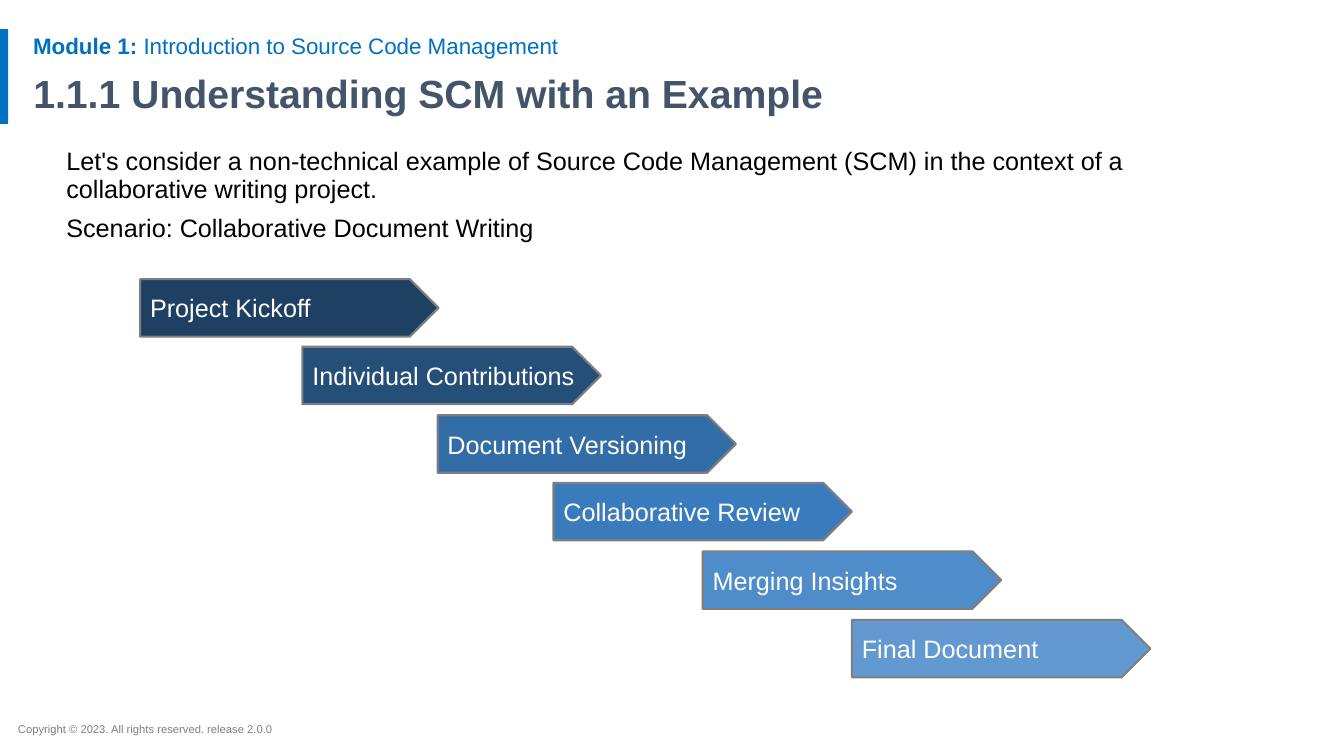
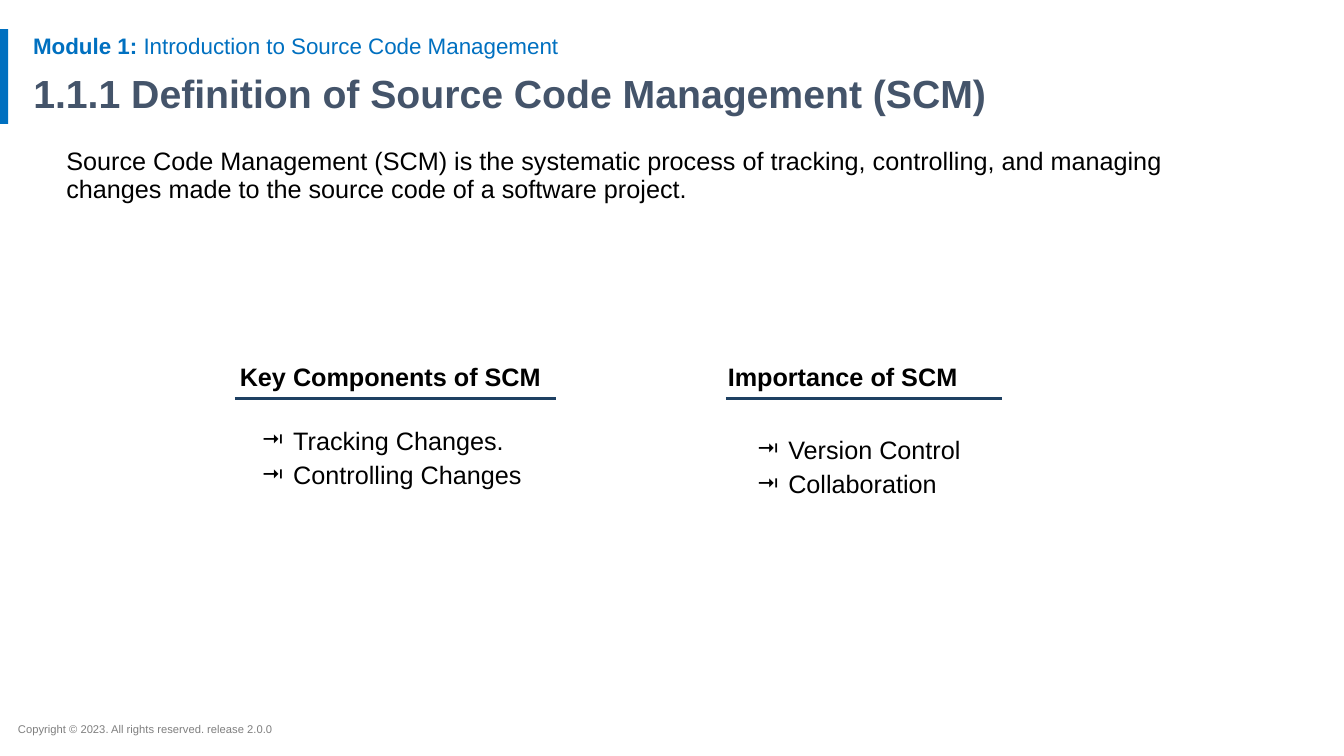
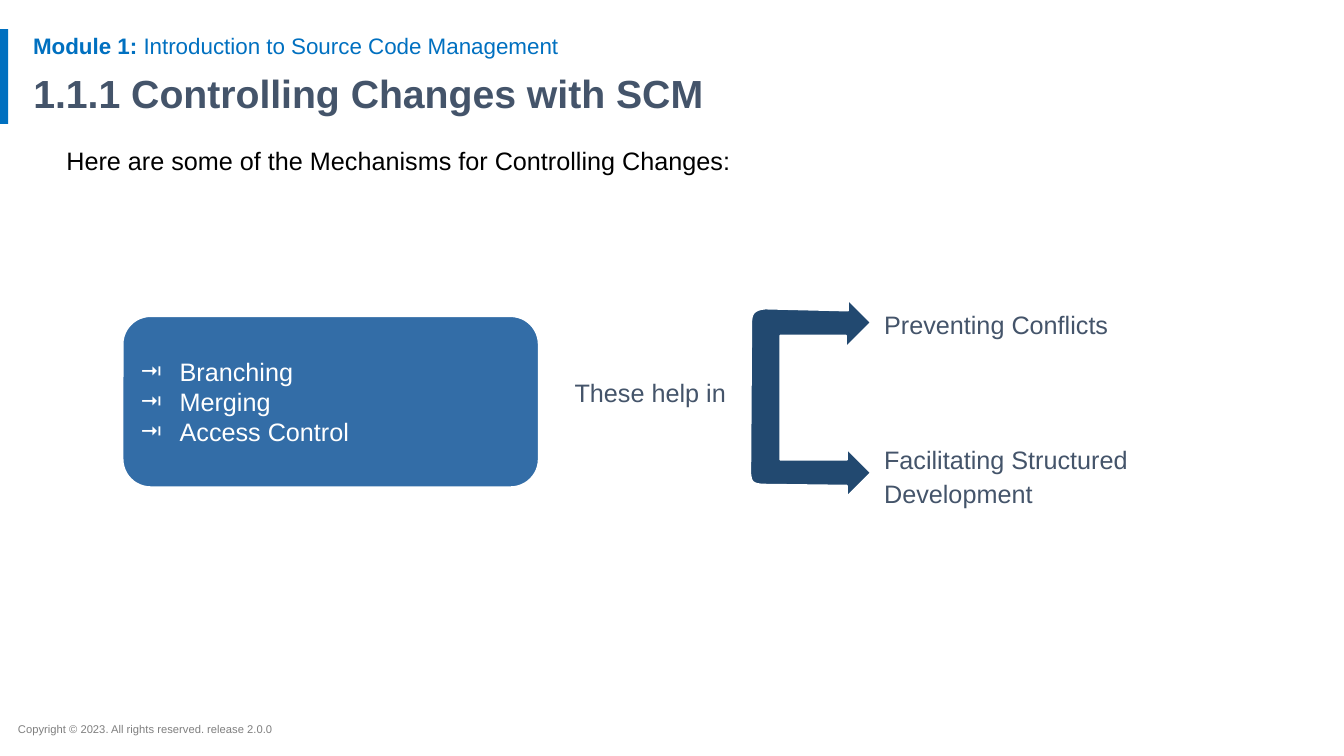
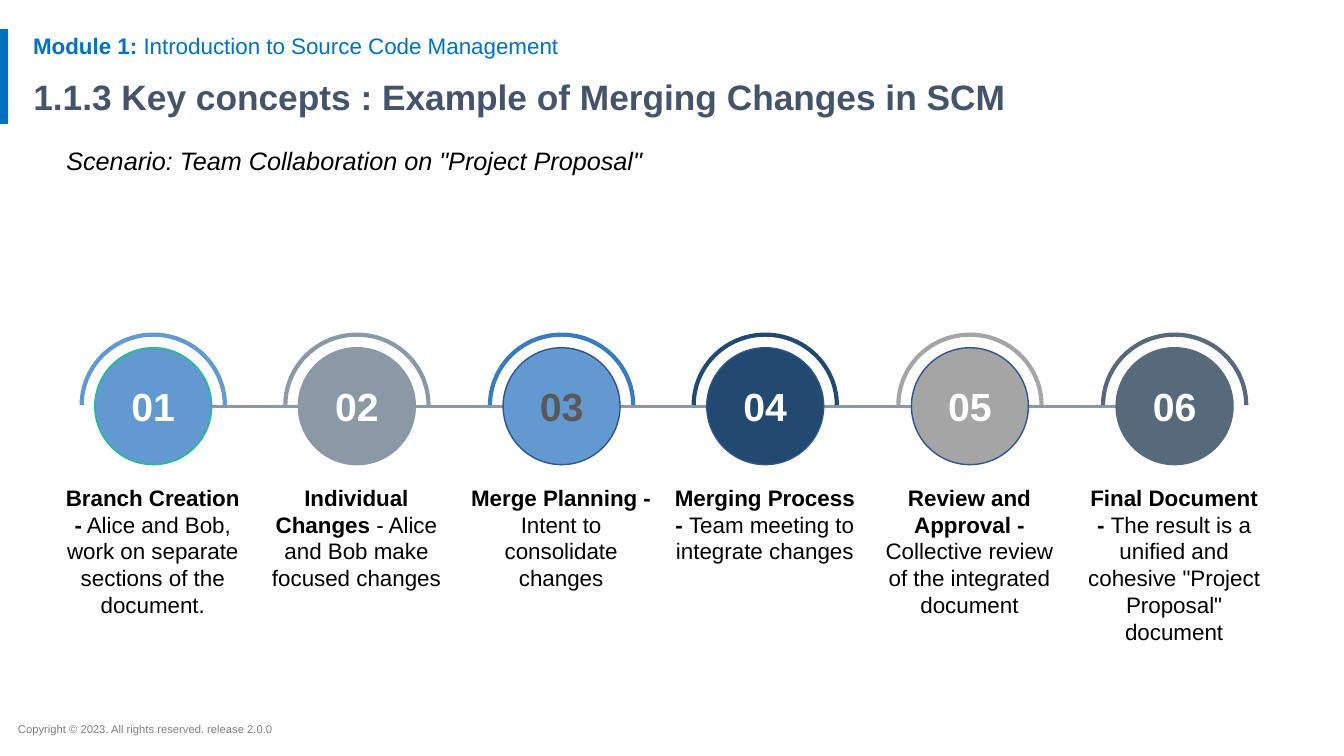
from dataclasses import dataclass
from typing import NamedTuple

from lxml import etree
from pptx import Presentation
from pptx.dml.color import RGBColor
from pptx.enum.shapes import MSO_CONNECTOR, MSO_SHAPE
from pptx.enum.text import MSO_ANCHOR, MSO_AUTO_SIZE, PP_ALIGN
from pptx.oxml.ns import qn
from pptx.util import Emu, Pt

LEFT, CENTER = PP_ALIGN.LEFT, PP_ALIGN.CENTER
TOP, MIDDLE = MSO_ANCHOR.TOP, MSO_ANCHOR.MIDDLE
RECT, ROUND = MSO_SHAPE.RECTANGLE, MSO_SHAPE.ROUNDED_RECTANGLE
PLATE, OVAL, ARC = MSO_SHAPE.PENTAGON, MSO_SHAPE.OVAL, MSO_SHAPE.ARC
STRAIGHT = MSO_CONNECTOR.STRAIGHT
FIXED = MSO_AUTO_SIZE.NONE

SCALE = 9144  # EMU per px, 100 px to the inch
FONT = "Arial"
BULLET = "⭲"
COLORS = {
    "black": "000000", "white": "FFFFFF", "accent": "0070C0", "slate": "44546A",
    "gray": "7F7F7F", "dark": "595959", "silver": "A5A5A5", "green": "1CC083",
    "navy": "1E4062", "deep": "224970", "ocean": "254F79", "steel": "336DA7",
    "blue": "397BBD", "sky": "4E8CCA", "pale": "6299D0", "edge": "31538F",
    "mist": "8B99A7", "storm": "566A7C",
}


class Box(NamedTuple):
    x: int
    y: int
    w: int
    h: int


class Run(NamedTuple):
    text: str
    color: str = "black"
    size: float = 18
    bold: bool = False
    slant: bool = False


@dataclass
class Para:
    runs: list[Run]
    align: PP_ALIGN = LEFT
    line: float = 1.0
    before: float = 0
    after: float = 0
    left: int = 0
    hang: int = 0
    bullet: str = ""


@dataclass
class Stage:
    label: str
    x: int
    fill: str


@dataclass
class Step:
    head: str
    note: str
    fill: str
    edge: str
    arc: str
    ink: str = "white"


STAGES = [
    Stage("Project Kickoff", 139, "navy"),
    Stage("Individual Contributions", 300, "ocean"),
    Stage("Document Versioning", 434, "steel"),
    Stage("Collaborative Review", 549, "blue"),
    Stage("Merging Insights", 697, "sky"),
    Stage("Final Document", 845, "pale"),
]
STEPS = [
    Step("Branch Creation -", " Alice and Bob, work on separate sections of the document.",
         "pale", "green", "pale"),
    Step("Individual Changes ", "- Alice and Bob make focused changes",
         "mist", "mist", "mist"),
    Step("Merge Planning - ", "Intent to consolidate changes",
         "pale", "edge", "blue", "dark"),
    Step("Merging Process - ", "Team meeting to integrate changes",
         "deep", "edge", "deep"),
    Step("Review and Approval - ", "Collective review of the integrated document",
         "silver", "edge", "silver"),
    Step("Final Document - ", 'The result is a unified and cohesive "Project Proposal" document',
         "storm", "storm", "storm"),
]


def px(val: float) -> Emu:
    return Emu(round(val * SCALE))


def rgb(name: str) -> RGBColor:
    return RGBColor.from_string(COLORS[name])


def place(box: Box) -> list[Emu]:
    return [px(val) for val in box]


# Text
def mark(para, item: Para) -> None:
    """Set the indent and the bullet of a paragraph."""
    props = para._p.get_or_add_pPr()
    props.set("marL", str(px(item.left)))
    props.set("indent", str(px(-item.hang)))
    if item.bullet:
        tint = etree.SubElement(props, qn("a:buClr"))
        etree.SubElement(tint, qn("a:srgbClr"), val=COLORS[item.bullet])
        etree.SubElement(props, qn("a:buFont"), typeface=FONT)
        etree.SubElement(props, qn("a:buChar"), char=BULLET)


def write(shape, paras: list[Para], pad: int = 5, anchor=TOP) -> None:
    frame = shape.text_frame
    frame.word_wrap = True
    frame.auto_size = FIXED
    frame.vertical_anchor = anchor
    frame.margin_left = frame.margin_right = px(10)
    frame.margin_top = frame.margin_bottom = px(pad)
    for num, item in enumerate(paras):
        para = frame.add_paragraph() if num else frame.paragraphs[0]
        para.alignment = item.align
        para.line_spacing = item.line
        para.space_before, para.space_after = Pt(item.before), Pt(item.after)
        mark(para, item)
        for part in item.runs:
            run = para.add_run()
            run.text = part.text
            font = run.font
            font.name, font.size = FONT, Pt(part.size)
            font.bold, font.italic = part.bold, part.slant
            font.color.rgb = rgb(part.color)


def label(slide, box: Box, paras: list[Para], pad: int = 5) -> None:
    write(slide.shapes.add_textbox(*place(box)), paras, pad)


# Shapes
def paint(shape, fill: str = "", line: str = "", width: float = 1) -> None:
    shape.shadow.inherit = False
    if fill:
        shape.fill.solid()
        shape.fill.fore_color.rgb = rgb(fill)
    else:
        shape.fill.background()
    if line:
        shape.line.color.rgb = rgb(line)
        shape.line.width = Pt(width)
    else:
        shape.line.fill.background()


def draw(slide, kind, box: Box, fill: str = "", line: str = "", width: float = 1):
    shape = slide.shapes.add_shape(kind, *place(box))
    paint(shape, fill, line, width)
    return shape


def rule(slide, left: int, right: int, y: int, color: str) -> None:
    line = slide.shapes.add_connector(STRAIGHT, px(left), px(y), px(right), px(y))
    line.line.color.rgb = rgb(color)
    line.line.width = Pt(2.25)
    etree.SubElement(line._element.spPr, qn("a:effectLst"))


def curve(*pts: tuple[int, int], count: int = 8) -> list[tuple[float, float]]:
    """Points along a cubic curve given by its four control points."""
    out = []
    for num in range(count + 1):
        t = num / count
        parts = ((1 - t) ** 3, 3 * t * (1 - t) ** 2, 3 * t * t * (1 - t), t ** 3)
        out.append((sum(k * p[0] for k, p in zip(parts, pts)),
                    sum(k * p[1] for k, p in zip(parts, pts))))
    return out


# Parts on every slide
def start(deck, title: str, body: list[Para], size: float = 28, pad: int = 5):
    slide = deck.slides.add_slide(deck.slide_layouts[5])
    draw(slide, RECT, Box(0, 29, 8, 94), "accent")
    label(slide, Box(8, 712, 713, 24),
          [Para([Run("Copyright © 2023. All rights reserved. release 2.0.0", "gray", 8)])])
    label(slide, Box(23, 30, 1150, 33),
          [Para([Run("Module 1:", "accent", 16, True),
                 Run(" Introduction to Source Code Management", "accent", 16)], line=0.9)])
    head = slide.shapes.title
    head.left, head.top, head.width, head.height = place(Box(23, 69, 1150, 54))
    write(head, [Para([Run(title, "slate", size, True)], line=0.9)], pad)
    label(slide, Box(56, 143, 1124, 529), body)
    return slide


def story(deck) -> None:
    slide = start(deck, "1.1.1 Understanding SCM with an Example", [
        Para([Run("Let's consider a non-technical example of Source Code Management (SCM) "
                  "in the context of a collaborative writing project.")], line=0.9),
        Para([Run("Scenario: Collaborative Document Writing")], line=0.9, before=8.4),
    ])
    # Stair of stages
    for num, item in enumerate(STAGES):
        plate = draw(slide, PLATE, Box(item.x, 277 + 338 * num // 5, 296, 57),
                     item.fill, "gray", 1.5)
        write(plate, [Para([Run(item.label, "white")])], anchor=MIDDLE)


def define(deck) -> None:
    slide = start(deck, "1.1.1 Definition of Source Code Management (SCM)", [
        Para([Run("Source Code Management (SCM) is the systematic process of tracking, "
                  "controlling, and managing changes made to the source code of a "
                  "software project.")], line=0.9),
    ])
    # Two headed lists
    lists = [
        ("Key Components of SCM", Box(228, 344, 328, 72), (233, 551),
         Box(237, 407, 310, 97), ["Tracking Changes.", "Controlling Changes"]),
        ("Importance of SCM", Box(712, 344, 250, 72), (720, 994),
         Box(728, 416, 286, 97), ["Version Control", "Collaboration"]),
    ]
    for head, top, ends, box, items in lists:
        rule(slide, *ends, 395, "navy")
        label(slide, top, [Para([Run(head, bold=True)], line=1.15, after=12)], 10)
        label(slide, box, [Para([Run(text)], line=1.15, left=44, hang=31, bullet="black")
                           for text in items], 10)


def control(deck) -> None:
    slide = start(deck, "1.1.1 Controlling Changes with SCM", [
        Para([Run("Here are some of the Mechanisms for Controlling Changes:")], line=0.9),
    ])
    label(slide, Box(560, 364, 231, 50), [Para([Run("These help in", "slate")])], 10)
    # Panel of means
    panel = draw(slide, ROUND, Box(121, 313, 414, 171), "steel", "white", 2.25)
    write(panel, [Para([Run(text, "white")], left=39, hang=39, bullet="white")
                  for text in ("Branching", "Merging", "Access Control")], anchor=MIDDLE)
    # Results
    for text, y, high in (("Preventing Conflicts", 292, 72),
                          ("Facilitating Structured Development", 426, 107)):
        label(slide, Box(817, y, 328, high),
              [Para([Run(text, "slate")], line=1.15, after=12, left=50)], 10)
    # Forked arrow
    pts = [(839, 333), (839, 345), (864, 320), (841, 297), (841, 308),
           *curve((759, 306), (747, 307), (745, 312), (745, 320)),
           *curve((744, 470), (745, 477), (745, 481), (759, 481)),
           (840, 482), (840, 493), (864, 469), (840, 445), (840, 456),
           (774, 456), (774, 333)]
    first, *rest = [(px(x), px(y)) for x, y in pts]
    fork = slide.shapes.build_freeform(*first)
    fork.add_line_segments(rest, close=True)
    paint(fork.convert_to_shape(), "deep", "white", 1.5)


def merge(deck) -> None:
    slide = start(deck, "1.1.3 Key concepts : Example of Merging Changes in SCM", [
        Para([Run('Scenario: Team Collaboration on "Project Proposal"', slant=True)], line=0.9),
    ], 25.2, 10)
    # Chain of steps
    rule(slide, 209, 1107, 403, "mist")
    for num, item in enumerate(STEPS):
        mid = 152 + 1013 * num // 5
        disc = draw(slide, OVAL, Box(mid - 58, 345, 116, 116), item.fill, item.edge)
        write(disc, [Para([Run(f"{num + 1:02}", item.ink, 28, True)], CENTER)], anchor=MIDDLE)
        arch = draw(slide, ARC, Box(mid - 71, 332, 142, 140), line=item.arc, width=3)
        arch.adjustments[0], arch.adjustments[1] = 108, 0
        label(slide, Box(mid - 100, 475, 199, 172),
              [Para([Run(item.head, size=16, bold=True), Run(item.note, size=16)], CENTER)])


def main() -> None:
    deck = Presentation()
    deck.slide_width, deck.slide_height = px(1333), px(750)
    for build in (story, define, control, merge):
        build(deck)
    deck.save("out.pptx")


if __name__ == "__main__":
    main()
